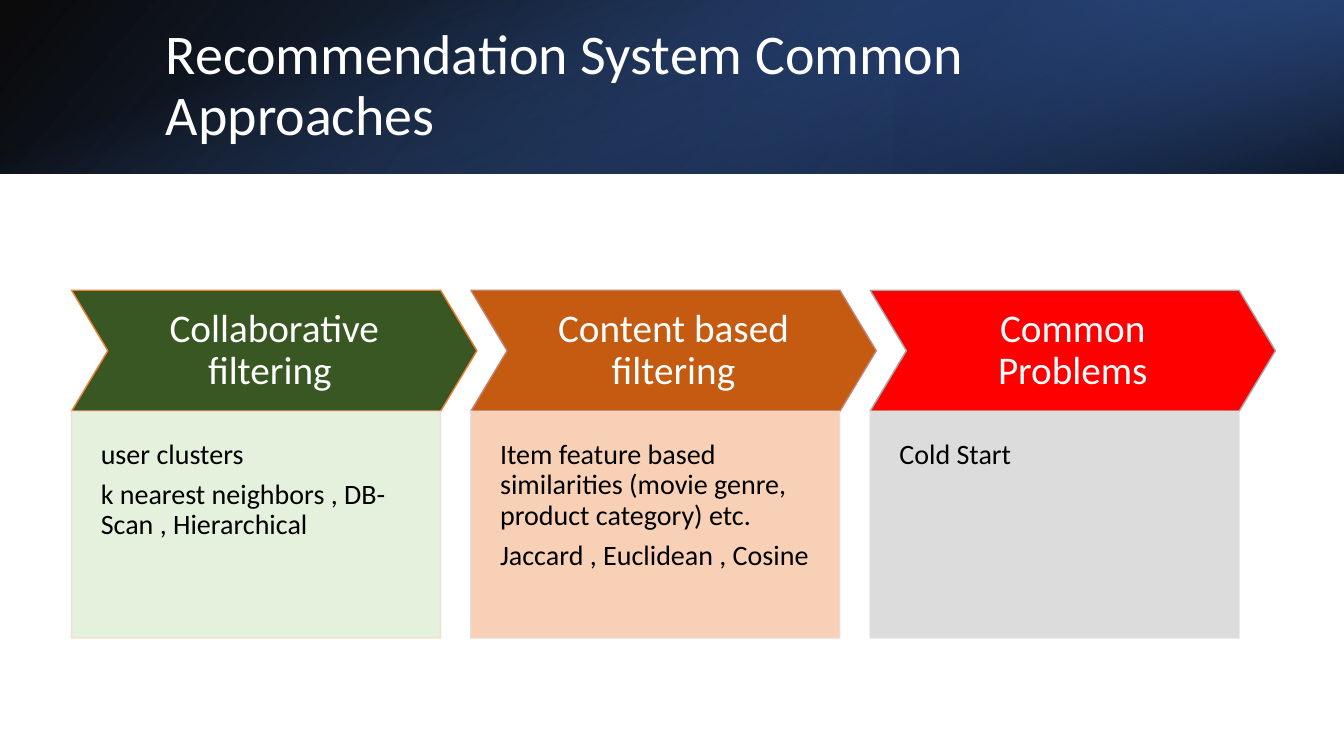
from dataclasses import dataclass

from lxml import etree
from pptx import Presentation
from pptx.dml.color import RGBColor
from pptx.enum.shapes import MSO_SHAPE as Preset
from pptx.enum.text import MSO_ANCHOR as Anchor, PP_ALIGN as Align
from pptx.oxml import parse_xml
from pptx.oxml.ns import nsdecls, qn
from pptx.util import Inches, Pt

# Content: heading, points, then chevron fill and line, panel fill and line
TITLE = "Recommendation System Common Approaches"
APPROACHES = [
    ("Collaborative filtering ",
     ["user clusters", "k nearest neighbors , DB-Scan , Hierarchical"],
     ("385723", "ED7D31"), ("E2F0D9", "F8D7CE")),
    ("Content based filtering",
     ["Item feature based similarities (movie genre, product category) etc.",
      "Jaccard , Euclidean , Cosine"],
     ("C55A11", "C48170"), ("F8CBAD", "EDD9D7")),
    ("Common Problems", ["Cold Start"],
     ("FF0000", "A5A5A5"), ("D9D9D9", "E1E1E1")),
]


@dataclass(frozen=True)
class Theme:
    font: str = "Calibri"
    light: str = "FFFFFF"
    dark: str = "000000"
    title_size: int = 40
    heading_size: int = 28
    body_size: int = 20
    panel_opacity: int = 90


THEME = Theme()

# Layout in inches
WIDTH, HEIGHT = 13.33, 7.5
BANNER = 1.72
LEFT, TOP, PITCH = 0.71, 2.88, 3.96
PANEL_WIDTH, PANEL_HEIGHT = 3.66, 2.25
CHEVRON_WIDTH, CHEVRON_HEIGHT, CHEVRON_POINT = 4.02, 1.2, 0.3

# Banner layers: box, rotation, mirrored, angle, (position, colour, opacity)
LAYERS = [
    ((0, 0, WIDTH, BANNER), 0, True, 140,
     [(0, "000000", 96), (100, "2F5597", 100)]),
    ((WIDTH * 2 / 3, 0, WIDTH / 3, BANNER), 180, True, 320,
     [(19, "203864", 68), (100, "4472C4", 79)]),
    (((WIDTH - BANNER) / 2, (BANNER - WIDTH) / 2, BANNER, WIDTH), 90, False, 340,
     [(23, "4472C4", 0), (99, "000000", 74)]),
]


def add_block(slide, preset, box):
    shape = slide.shapes.add_shape(preset, *(Inches(length) for length in box))
    shape.shadow.inherit = False
    shape.fill.background()
    shape.line.fill.background()
    return shape


def paint(shape, fill, line, opacity=100):
    shape.fill.solid()
    shape.fill.fore_color.rgb = RGBColor.from_string(fill)
    shape.line.color.rgb = RGBColor.from_string(line)
    shape.line.width = Pt(1)
    if opacity < 100:
        for color in shape._element.spPr.iter(qn("a:srgbClr")):
            etree.SubElement(color, qn("a:alpha"), val=str(opacity * 1000))


def paint_gradient(shape, angle, stops):
    stop_xml = "".join(
        f'<a:gs pos="{position * 1000}"><a:srgbClr val="{color}">'
        f'<a:alpha val="{opacity * 1000}"/></a:srgbClr></a:gs>'
        for position, color, opacity in stops)
    gradient = parse_xml(
        f'<a:gradFill {nsdecls("a")} rotWithShape="1"><a:gsLst>{stop_xml}</a:gsLst>'
        f'<a:lin ang="{angle * 60000}" scaled="0"/></a:gradFill>')
    properties = shape._element.spPr
    properties.replace(properties.find(qn("a:noFill")), gradient)


def write(shape, lines, size, color, align, anchor, insets, gap=0):
    frame = shape.text_frame
    frame.word_wrap = True
    frame.vertical_anchor = anchor
    (frame.margin_left, frame.margin_top,
     frame.margin_right, frame.margin_bottom) = (Inches(inset) for inset in insets)
    frame.text = "\n".join(lines)
    for paragraph in frame.paragraphs:
        paragraph.alignment = align
        paragraph.line_spacing = 0.9
        paragraph.space_after = Pt(gap)
        for run in paragraph.runs:
            run.font.name = THEME.font
            run.font.size = Pt(size)
            run.font.color.rgb = RGBColor.from_string(color)


def add_banner(slide):
    for box, rotation, mirrored, angle, stops in LAYERS:
        layer = add_block(slide, Preset.RECTANGLE, box)
        layer.rotation = rotation
        if mirrored:
            layer._element.spPr.xfrm.set("flipH", "1")
        paint_gradient(layer, angle, stops)
    title = add_block(slide, Preset.ROUNDED_RECTANGLE, (1.5, 0.38, 10.98, 0.96))
    write(title, [TITLE], THEME.title_size, THEME.light, Align.LEFT,
          Anchor.MIDDLE, (0.1, 0.05, 0.2, 0.05))


def add_approach(slide, column, heading, points, chevron_colors, panel_colors):
    left = LEFT + column * PITCH
    chevron = add_block(slide, Preset.CHEVRON,
                        (left, TOP, CHEVRON_WIDTH, CHEVRON_HEIGHT))
    chevron.adjustments[0] = CHEVRON_POINT
    paint(chevron, *chevron_colors)
    write(chevron, [heading], THEME.heading_size, THEME.light, Align.CENTER,
          Anchor.MIDDLE, (0.15,) * 4)

    panel = add_block(slide, Preset.RECTANGLE,
                      (left, TOP + CHEVRON_HEIGHT, PANEL_WIDTH, PANEL_HEIGHT))
    paint(panel, *panel_colors, opacity=THEME.panel_opacity)
    write(panel, points, THEME.body_size, THEME.dark, Align.LEFT,
          Anchor.TOP, (0.29, 0.29, 0.29, 0.58), gap=7)


def main():
    presentation = Presentation()
    presentation.slide_width = Inches(WIDTH)
    presentation.slide_height = Inches(HEIGHT)
    slide = presentation.slides.add_slide(presentation.slide_layouts[6])
    add_banner(slide)
    for column, approach in enumerate(APPROACHES):
        add_approach(slide, column, *approach)
    presentation.save("out.pptx")


if __name__ == "__main__":
    main()
